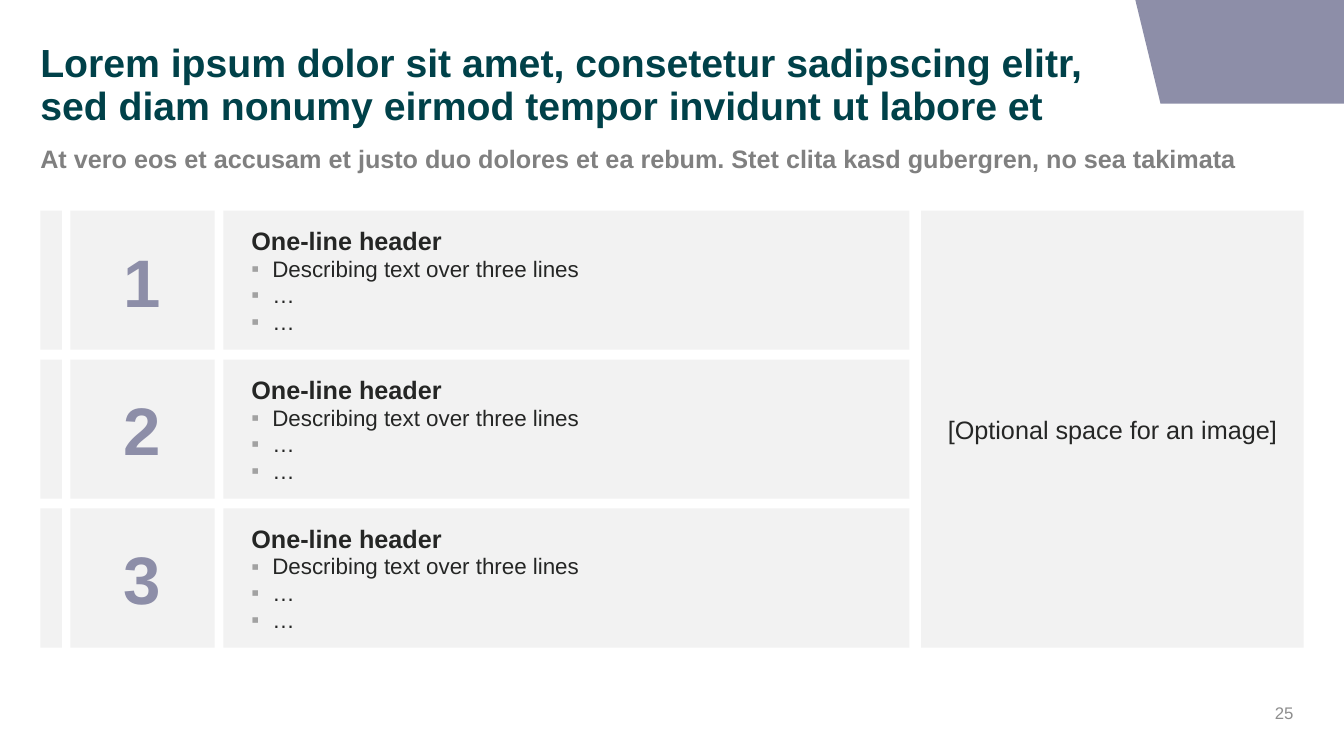
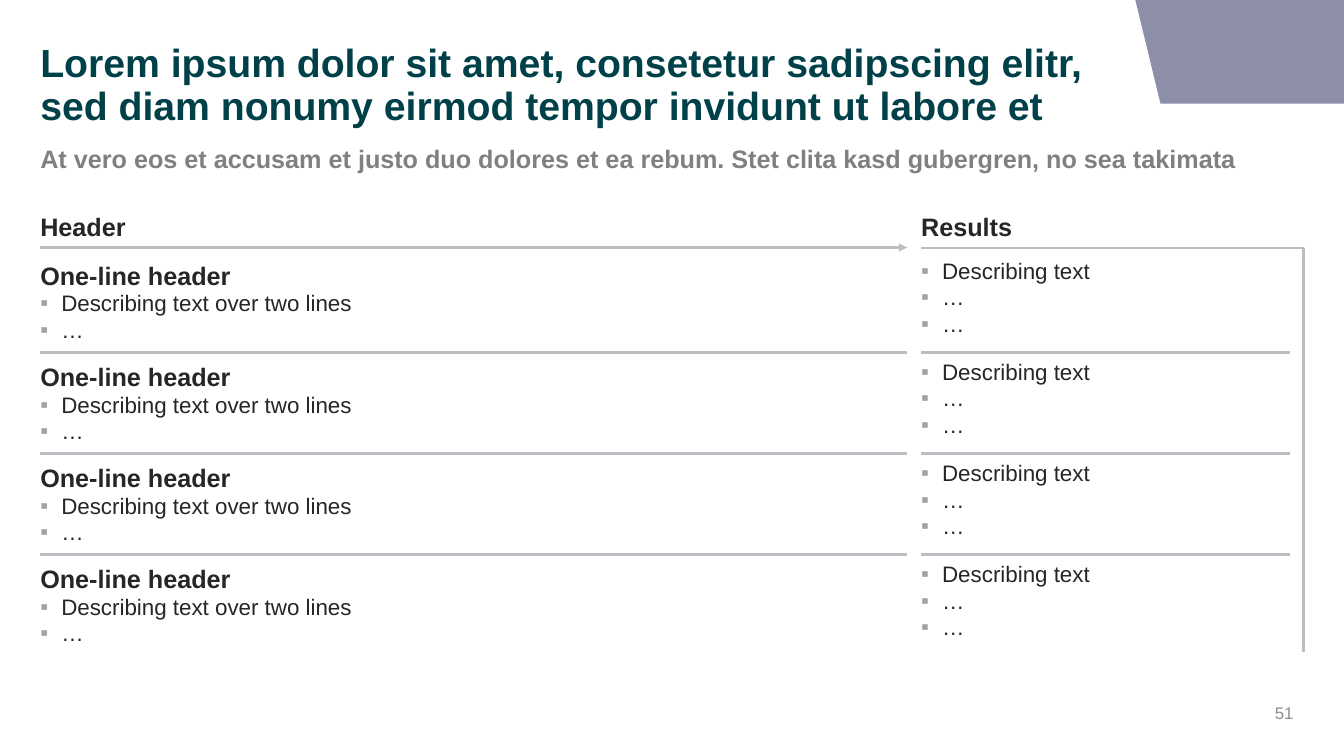
from lxml.etree import SubElement
from pptx import Presentation
from pptx.dml.color import RGBColor
from pptx.enum.shapes import MSO_CONNECTOR as Connector, MSO_SHAPE as Shape
from pptx.enum.text import MSO_ANCHOR as Anchor, PP_ALIGN as Align
from pptx.oxml.ns import qn
from pptx.util import Pt

# Shared style
FONT = "Arial"
TEAL = RGBColor(0x00, 0x41, 0x49)
LAVENDER = RGBColor(0x8D, 0x8E, 0xA8)
TEXT = RGBColor(0x25, 0x26, 0x25)
SUBTITLE_GRAY = RGBColor(0x80, 0x80, 0x80)
PAGE_GRAY = RGBColor(0x8E, 0x8E, 0x8E)
BULLET_GRAY = RGBColor(0xA2, 0xA2, 0xA2)
LINE_GRAY = RGBColor(0xBB, 0xBE, 0xC2)
PANEL = RGBColor(0xF2, 0xF2, 0xF2)

# Shared grid, in points
SLIDE_W, SLIDE_H = 960, 540
LEFT, RIGHT = 28.8, 931.2
SIDE_LEFT = 658
LINE_WIDTH = 1.75
BULLET_INDENT = 15

TITLE = ("Lorem ipsum dolor sit amet, consetetur sadipscing elitr, "
         "sed diam nonumy eirmod tempor invidunt ut labore et")
SUBTITLE = ("At vero eos et accusam et justo duo dolores et ea rebum. "
            "Stet clita kasd gubergren, no sea takimata")
ROW_HEADER = "One-line header"


def set_font(paragraph, size, color, bold=False):
    font = paragraph.font
    font.name, font.size, font.bold = FONT, Pt(size), bold
    font.color.rgb = color


def set_frame(frame, anchor=Anchor.TOP, insets=(0, 0, 0, 0)):
    frame.word_wrap = True
    frame.vertical_anchor = anchor
    (frame.margin_left, frame.margin_top,
     frame.margin_right, frame.margin_bottom) = map(Pt, insets)


def write_line(frame, text, size, color, bold=False, align=Align.LEFT):
    paragraph = frame.paragraphs[0]
    paragraph.text = text
    paragraph.alignment = align
    set_font(paragraph, size, color, bold)
    return paragraph


def add_bullet(paragraph):
    properties = paragraph._p.get_or_add_pPr()
    properties.set("marL", str(Pt(BULLET_INDENT)))
    properties.set("indent", str(-Pt(BULLET_INDENT)))
    color = SubElement(properties, qn("a:buClr"))
    SubElement(color, qn("a:srgbClr"), val=str(BULLET_GRAY))
    SubElement(properties, qn("a:buFont"), typeface=FONT)
    SubElement(properties, qn("a:buChar"), char="▪")


def write_bullets(frame, bullets, header=None):
    if header:
        write_line(frame, header, 18, TEXT, bold=True)
    for index, bullet in enumerate(bullets):
        is_first = index == 0 and not header
        paragraph = frame.paragraphs[0] if is_first else frame.add_paragraph()
        paragraph.text = bullet
        paragraph.alignment = Align.LEFT
        paragraph.line_spacing = 0.9
        if not is_first:
            paragraph.space_before = Pt(1.8)
        add_bullet(paragraph)
        set_font(paragraph, 16, TEXT)


def add_text_frame(slide, left, top, width, height, anchor=Anchor.TOP):
    box = slide.shapes.add_textbox(Pt(left), Pt(top), Pt(width), Pt(height))
    set_frame(box.text_frame, anchor)
    return box.text_frame


def add_panel(slide, left, top, width, height):
    panel = slide.shapes.add_shape(
        Shape.RECTANGLE, Pt(left), Pt(top), Pt(width), Pt(height))
    panel.shadow.inherit = False
    panel.fill.solid()
    panel.fill.fore_color.rgb = PANEL
    panel.line.fill.background()
    set_frame(panel.text_frame, Anchor.MIDDLE)
    return panel.text_frame


def add_outline(slide, points, close):
    builder = slide.shapes.build_freeform(*points[0], scale=Pt(1))
    builder.add_line_segments(points[1:], close=close)
    outline = builder.convert_to_shape()
    outline.shadow.inherit = False
    return outline


def add_rule(slide, left, right, y, arrow=False):
    rule = slide.shapes.add_connector(
        Connector.STRAIGHT, Pt(left), Pt(y), Pt(right), Pt(y))
    rule.line.color.rgb = LINE_GRAY
    rule.line.width = Pt(LINE_WIDTH)
    if arrow:
        SubElement(rule.line._get_or_add_ln(), qn("a:tailEnd"), type="triangle")
    SubElement(rule._element.spPr, qn("a:effectLst"))


def add_base_slide(deck, page_number):
    slide = deck.slides.add_slide(deck.slide_layouts[5])

    # Corner band
    band = add_outline(slide, [(SLIDE_W, 0), (SLIDE_W, 74), (829, 74), (811.4, 0)],
                       close=True)
    band.fill.solid()
    band.fill.fore_color.rgb = LAVENDER
    band.line.fill.background()

    # Title and subtitle
    title = slide.shapes.title
    title.left, title.top = Pt(LEFT), Pt(31.5)
    title.width, title.height = Pt(782.6), Pt(62.5)
    set_frame(title.text_frame)
    write_line(title.text_frame, TITLE, 28, TEAL, bold=True).line_spacing = 0.9
    subtitle = add_text_frame(slide, LEFT, 102.2, RIGHT - LEFT, 24.5)
    write_line(subtitle, SUBTITLE, 18, SUBTITLE_GRAY, bold=True)

    # Page number
    page = add_text_frame(slide, 708, 500.5, 216, 17.5, Anchor.MIDDLE)
    write_line(page, page_number, 12, PAGE_GRAY, align=Align.RIGHT)
    return slide


def add_numbered_rows(deck):
    slide = add_base_slide(deck, "25")
    top, height, gap, count = 150.4, 99.4, 7, 3

    for index in range(count):
        row_top = top + index * (height + gap)
        add_panel(slide, LEFT, row_top, 15.4, height)
        number = add_panel(slide, 50.2, row_top, 103.2, height)
        write_line(number, str(index + 1), 48, LAVENDER, True, Align.CENTER)
        description = add_panel(slide, 159.6, row_top, 490, height)
        set_frame(description, Anchor.MIDDLE, (20, 0, 7.2, 0))
        write_bullets(description, ["Describing text over three lines", "…", "…"],
                      ROW_HEADER)

    # Image space
    image_space = add_panel(slide, SIDE_LEFT, top, RIGHT - SIDE_LEFT,
                            count * height + (count - 1) * gap)
    write_line(image_space, "[Optional space for an image]", 18, TEXT,
               align=Align.CENTER)


def add_results_rows(deck):
    slide = add_base_slide(deck, "51")
    main_right, header_line = 648, 176.8
    first_top, first_divider, pitch, count = 185.6, 251.8, 72.2, 4

    # Column headers
    for heading, left, right in (("Header", LEFT, main_right),
                                 ("Results", SIDE_LEFT, RIGHT)):
        frame = add_text_frame(slide, left, 151.2, right - left, 21.6)
        write_line(frame, heading, 18, TEXT, bold=True)
    add_rule(slide, LEFT, main_right, header_line, arrow=True)
    bracket = add_outline(slide, [(SIDE_LEFT, header_line), (RIGHT, header_line),
                                  (RIGHT, 465.8)], close=False)
    bracket.fill.background()
    bracket.line.color.rgb = LINE_GRAY
    bracket.line.width = Pt(LINE_WIDTH)

    # Rows and dividers
    for index in range(count):
        row_top = first_top + index * pitch
        topic = add_text_frame(slide, LEFT, row_top, main_right - LEFT, 60.5)
        write_bullets(topic, ["Describing text over two lines", "…"], ROW_HEADER)
        result = add_text_frame(slide, SIDE_LEFT, row_top, RIGHT - SIDE_LEFT, 56)
        write_bullets(result, ["Describing text", "…", "…"])
        if index < count - 1:
            divider = first_divider + index * pitch
            add_rule(slide, LEFT, main_right, divider)
            add_rule(slide, SIDE_LEFT, 921.6, divider)


def main():
    deck = Presentation()
    deck.slide_width, deck.slide_height = Pt(SLIDE_W), Pt(SLIDE_H)
    add_numbered_rows(deck)
    add_results_rows(deck)
    deck.save("out.pptx")


if __name__ == "__main__":
    main()
